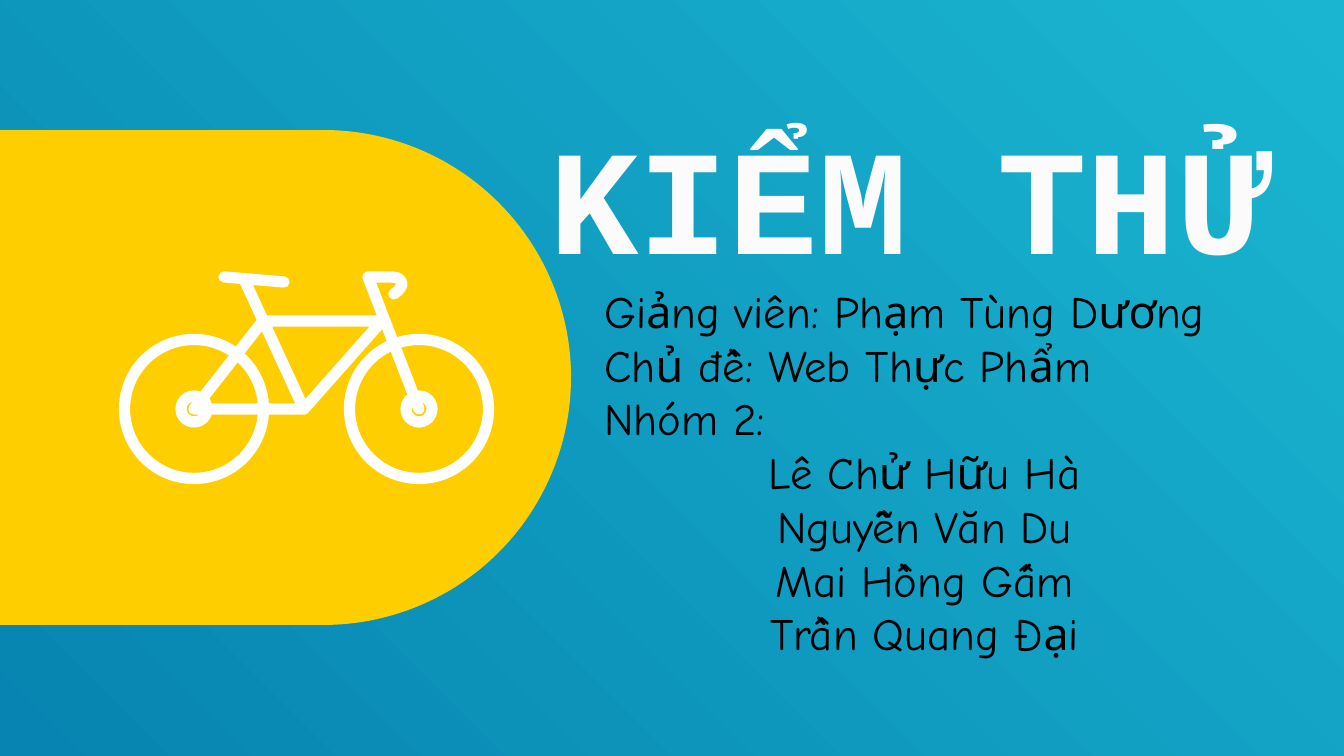
from dataclasses import dataclass

from lxml.etree import SubElement
from pptx import Presentation
from pptx.dml.color import RGBColor as RGB
from pptx.enum.shapes import MSO_CONNECTOR as Connector, MSO_SHAPE as Shape
from pptx.enum.text import MSO_ANCHOR as Anchor, MSO_AUTO_SIZE as AutoSize, PP_ALIGN as Align
from pptx.oxml.ns import qn
from pptx.util import Pt

EMU_PER_PX = 914400 / 134.4


@dataclass(frozen=True)
class Theme:
    deep: RGB = RGB(0x07, 0x84, 0xB1)
    light: RGB = RGB(0x1A, 0xB6, 0xD1)
    banner: RGB = RGB(0xFF, 0xCE, 0x00)
    bicycle: RGB = RGB(0xFF, 0xFF, 0xFF)
    title: RGB = RGB(0xFB, 0xFB, 0xFC)
    body: RGB = RGB(0, 0, 0)
    title_font: str = "Courier New"
    body_font: str = "Comic Neue"
    title_size: int = 80
    body_size: int = 24
    stroke: int = 6


THEME = Theme()


def px(value):
    return round(value * EMU_PER_PX)


def add_text(slide, box, lines, *, font, size, color, bold=False, inset=None,
             anchor=Anchor.TOP, spacing=1.0, grow=False):
    frame = slide.shapes.add_textbox(*map(px, box)).text_frame
    frame.word_wrap = True
    frame.vertical_anchor = anchor
    frame.auto_size = AutoSize.SHAPE_TO_FIT_TEXT if grow else AutoSize.NONE
    if inset is not None:
        frame.margin_left = frame.margin_right = px(inset)
        frame.margin_top = frame.margin_bottom = px(inset)
    for index, (words, align) in enumerate(lines):
        paragraph = frame.add_paragraph() if index else frame.paragraphs[0]
        paragraph.alignment = align
        paragraph.line_spacing = spacing
        run = paragraph.add_run()
        run.text = words
        run.font.name = font
        run.font.size = Pt(size)
        run.font.bold = bold
        run.font.color.rgb = color


def style_stroke(part):
    part.line.color.rgb = THEME.bicycle
    part.line.width = Pt(THEME.stroke)
    outline = part.line._ln
    outline.set("cap", "rnd")
    SubElement(outline, qn("a:round"))


def add_tube(slide, left, top, points):
    start, *rest = [(px(left + x), px(top + y)) for x, y in points]
    builder = slide.shapes.build_freeform(*start)
    builder.add_line_segments(rest, close=False)
    tube = builder.convert_to_shape()
    tube.shadow.inherit = False
    tube.fill.background()
    style_stroke(tube)


def add_ring(slide, x, y, radius):
    ring = slide.shapes.add_shape(
        Shape.OVAL, px(x - radius), px(y - radius), px(2 * radius), px(2 * radius))
    ring.shadow.inherit = False
    ring.fill.background()
    style_stroke(ring)


def paint_background(slide):
    fill = slide.background.fill
    fill.gradient()
    fill.gradient_angle = 45
    for stop, color, position in zip(fill.gradient_stops, (THEME.deep, THEME.light), (0, 1)):
        stop.color.rgb = color
        stop.position = position


def add_banner(slide, left, top, width, height):
    shift = (width - height) / 2
    banner = slide.shapes.add_shape(
        Shape.ROUND_2_SAME_RECTANGLE,
        px(left + shift), px(top - shift), px(height), px(width))
    banner.rotation = 90
    banner.adjustments[0] = 0.5
    banner.adjustments[1] = 0
    banner.shadow.inherit = False
    banner.fill.solid()
    banner.fill.fore_color.rgb = THEME.banner
    banner.line.fill.background()


def add_bicycle(slide, left, top):
    rear, front = (69, 132), (294, 132)
    pedals = (179, 132)
    add_tube(slide, left, top, [(120, 4), pedals, (257, 44), (138, 44), rear, pedals])
    add_tube(slide, left, top, [front, (243, 0), (267, 0), (273, 1), (276, 4),
                                (277, 7), (276, 10), (273, 14), (269, 17)])
    for x, y in (rear, front):
        for radius in (69.5, 13):
            add_ring(slide, left + x, top + y, radius)
    saddle = slide.shapes.add_connector(
        Connector.STRAIGHT, px(left + 99), px(top), px(left + 159), px(top + 5))
    style_stroke(saddle)
    SubElement(saddle._element.spPr, qn("a:effectLst"))


def add_title(slide, box):
    add_text(slide, box, [("KIỂM THỬ", Align.CENTER)], font=THEME.title_font,
             size=THEME.title_size, color=THEME.title, bold=True, inset=0,
             anchor=Anchor.MIDDLE, spacing=0.9)


def add_credits(slide, box):
    details = ["Giảng viên: Phạm Tùng Dương", "Chủ đề: Web Thực Phẩm", "Nhóm 2:"]
    members = ["Lê Chử Hữu Hà", "Nguyễn Văn Du", "Mai Hồng Gấm", "Trần Quang Đại"]
    lines = [(words, Align.LEFT) for words in details]
    lines += [(words, Align.CENTER) for words in members]
    add_text(slide, box, lines, font=THEME.body_font, size=THEME.body_size,
             color=THEME.body, grow=True)


def main():
    deck = Presentation()
    deck.slide_width, deck.slide_height = px(1344), px(756)
    slide = deck.slides.add_slide(deck.slide_layouts[6])
    paint_background(slide)
    add_banner(slide, 0, 130, 571, 495)
    add_title(slide, (535, 50, 746, 312))
    add_bicycle(slide, 125, 277)
    add_credits(slide, (591, 277, 667, 394))
    deck.save("out.pptx")


if __name__ == "__main__":
    main()
